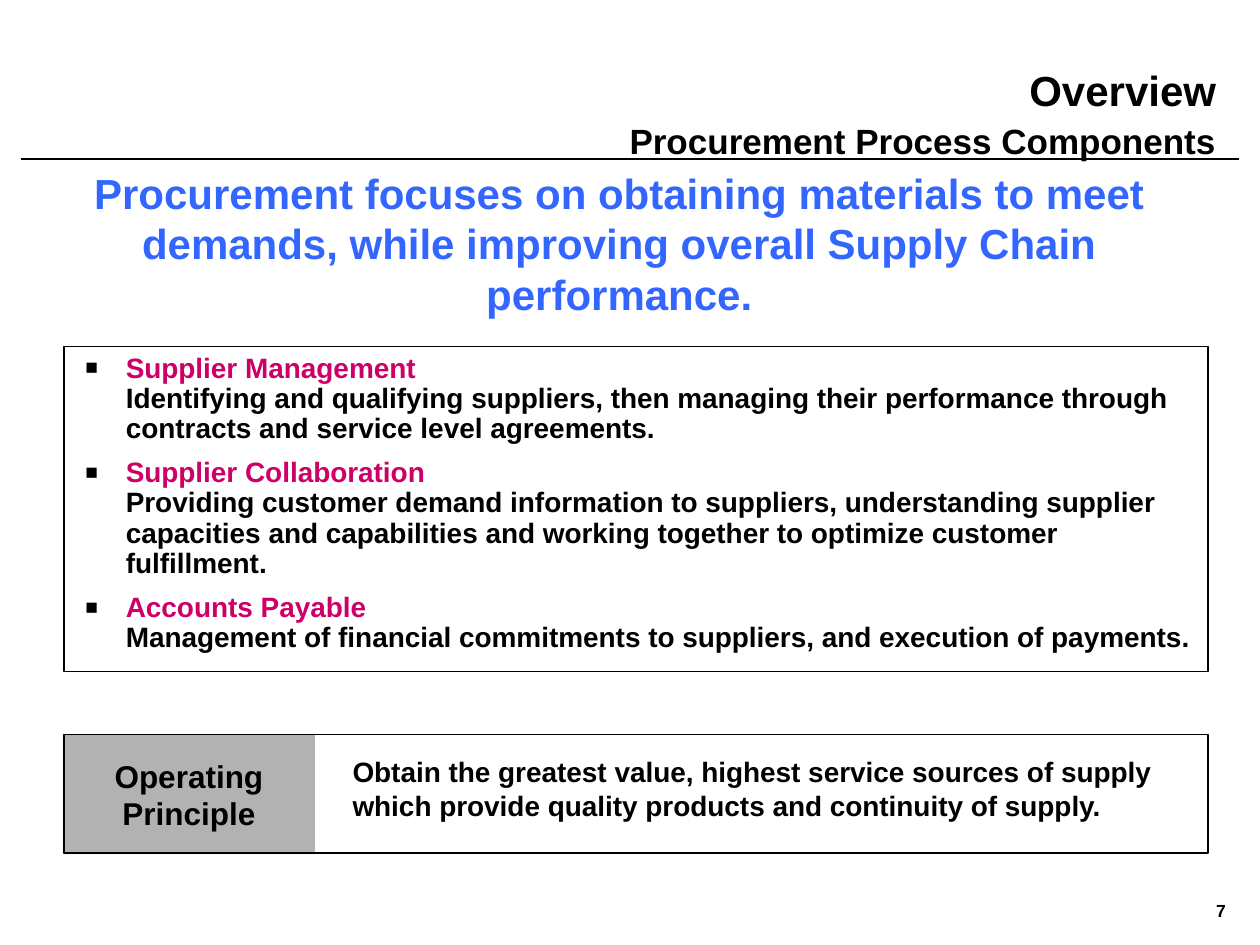
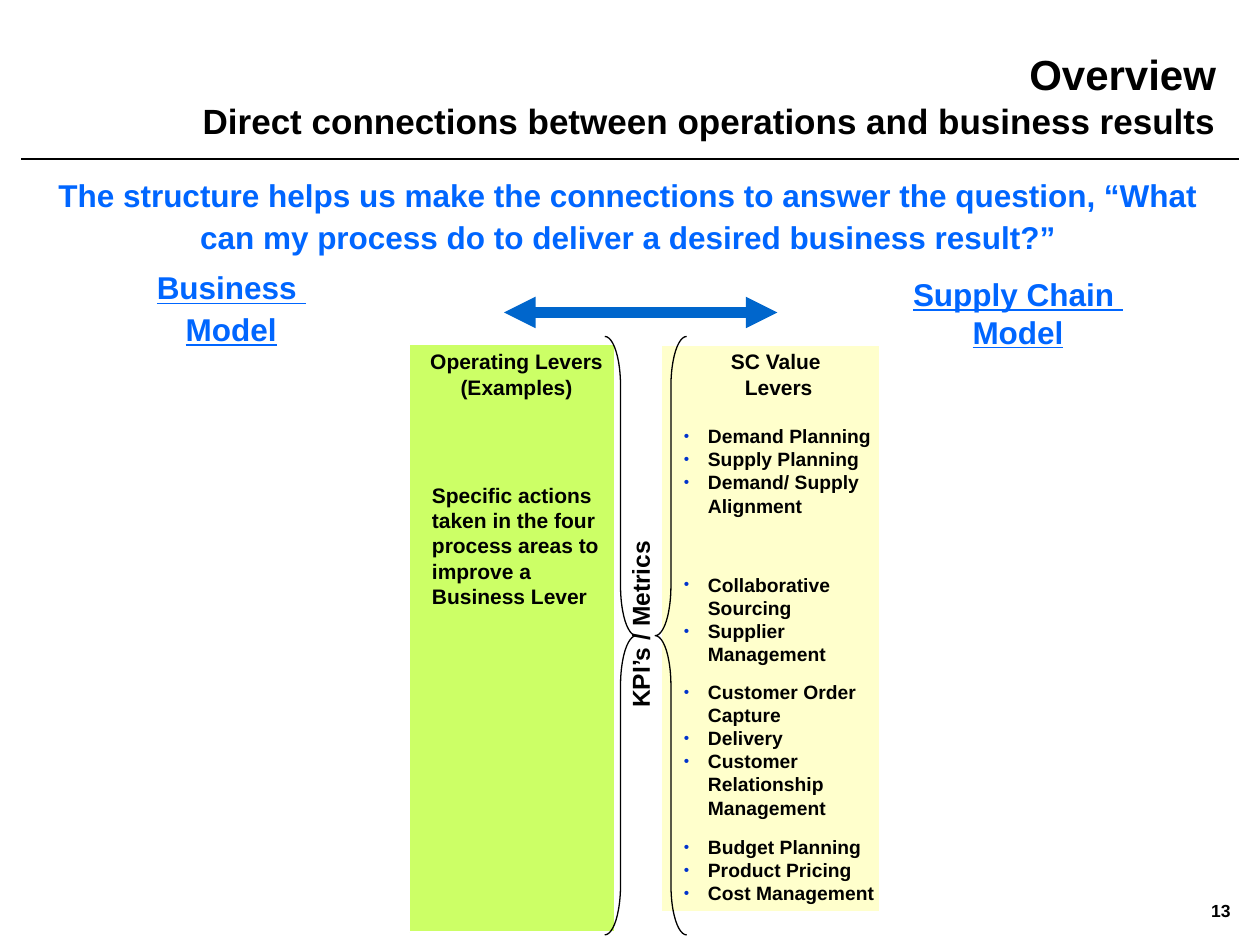
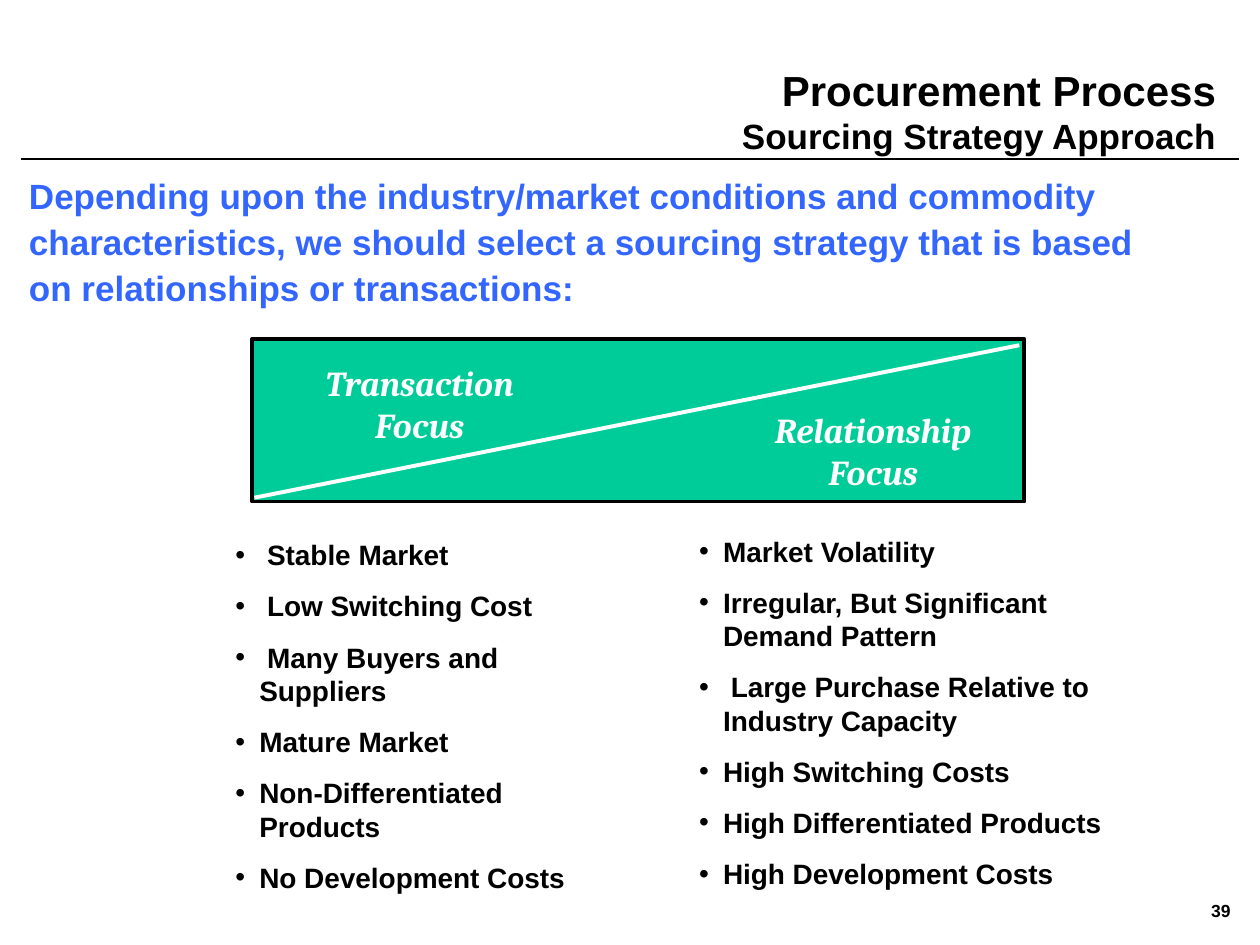
from copy import deepcopy

from lxml.etree import SubElement
from pptx import Presentation
from pptx.dml.color import RGBColor
from pptx.enum.shapes import MSO_CONNECTOR, MSO_SHAPE
from pptx.enum.text import MSO_ANCHOR, MSO_AUTO_SIZE, PP_ALIGN
from pptx.oxml.ns import qn
from pptx.util import Inches, Pt

# Colours
BLACK = RGBColor(0x00, 0x00, 0x00)
WHITE = RGBColor(0xFF, 0xFF, 0xFF)
GREY = RGBColor(0xB2, 0xB2, 0xB2)
PINK = RGBColor(0xCC, 0x00, 0x66)
BLUE = RGBColor(0x33, 0x66, 0xFF)
AZURE = RGBColor(0x00, 0x66, 0xFF)
STEEL = RGBColor(0x00, 0x66, 0xCC)
NAVY = RGBColor(0x00, 0x33, 0xCC)
LIME = RGBColor(0xCC, 0xFF, 0x66)
CREAM = RGBColor(0xFF, 0xFF, 0xCC)
GREEN = RGBColor(0x00, 0xCC, 0x99)

LEFT, MID, RIGHT = PP_ALIGN.LEFT, PP_ALIGN.CENTER, PP_ALIGN.RIGHT

# Bullet styles: sign, colour, size in percent, indent
SQUARE = ("■", BLACK, 75, 0.32)
SMALL = ("•", NAVY, 80, 0.19)
ROUND = ("•", BLACK, 100, 0.19)


class Deck:
    """Holds the shared style and the current slide."""

    base = {"name": "Arial", "bold": True, "italic": False, "underline": False}

    def __init__(self):
        self.prs = Presentation()
        self.prs.slide_width = Inches(10)
        self.prs.slide_height = Inches(7.5)

    def page(self, number):
        """Start a slide with its rule and page number."""
        layout = self.prs.slide_layouts.get_by_name("Title Only")
        self.slide = self.prs.slides.add_slide(layout)
        self.line((0.17, 1.26), (9.83, 1.26), BLACK, 1)
        self.text((9.42, 7.01, 0.54, 0.44), [number], 10, align=MID,
                  anchor=MSO_ANCHOR.MIDDLE)

    def title(self, box, words, size, color, **style):
        """Place the key message in the title placeholder."""
        shape = self.slide.shapes.title
        shape.left, shape.top, shape.width, shape.height = map(Inches, box)
        self.fill_in(shape, [words], size, color, anchor=MSO_ANCHOR.BOTTOM, **style)

    def head(self, box, main, sub, space=1.0):
        """Set the two-line heading above the rule."""
        self.text(box, [main, sub], 24, align=RIGHT, space=space,
                  anchor=MSO_ANCHOR.MIDDLE, sizes=(24, 20))

    def text(self, box, paras, size, color=BLACK, **style):
        shape = self.slide.shapes.add_textbox(*map(Inches, box))
        self.fill_in(shape, paras, size, color, **style)
        return shape

    def fill_in(self, shape, paras, size, color=BLACK, align=LEFT, space=1.0,
                before=0, anchor=MSO_ANCHOR.TOP, bullet=None, sizes=(), **font):
        """Fill a shape; a paragraph is a string or a list of coloured runs."""
        frame = shape.text_frame
        values = {"word_wrap": True, "auto_size": MSO_AUTO_SIZE.NONE,
                  "vertical_anchor": anchor,
                  "margin_left": Inches(0.1), "margin_right": Inches(0.1),
                  "margin_top": Inches(0.05), "margin_bottom": Inches(0.05)}
        for key, value in values.items():
            setattr(frame, key, value)
        for i, runs in enumerate(paras):
            para = frame.add_paragraph() if i else frame.paragraphs[0]
            if bullet:
                self.bullet(para, *bullet)
            values = {"alignment": align, "line_spacing": space,
                      "space_before": Pt(before if i else 0)}
            for key, value in values.items():
                setattr(para, key, value)
            points = sizes[i] if sizes else size
            look = {**self.base, "size": Pt(points), **font}
            for words, tint in [(runs, color)] if isinstance(runs, str) else runs:
                self.add_words(para, words, tint, look)

    def add_words(self, para, words, color, look):
        """Add text, with a line break at each newline."""
        for i, part in enumerate(words.split("\n")):
            if i:
                para.add_line_break()
                mark = para._p.findall(qn("a:br"))[-1]
                mark.insert(0, deepcopy(para.runs[-1]._r.rPr))
            if part:
                run = para.add_run()
                run.text = part
                for key, value in look.items():
                    setattr(run.font, key, value)
                run.font.color.rgb = color

    def bullet(self, para, sign, color, percent, indent):
        props = para._p.get_or_add_pPr()
        props.set("marL", str(Inches(indent)))
        props.set("indent", str(-Inches(indent)))
        tint = SubElement(props, qn("a:buClr"))
        SubElement(tint, qn("a:srgbClr"), val=str(color))
        SubElement(props, qn("a:buSzPct"), val=str(percent * 1000))
        SubElement(props, qn("a:buFont"), typeface="Arial")
        SubElement(props, qn("a:buChar"), char=sign)

    def shape(self, box, fill=None, line=None, width=1, kind=MSO_SHAPE.RECTANGLE):
        shape = self.slide.shapes.add_shape(kind, *map(Inches, box))
        shape.shadow.inherit = False
        for part, color in ((shape.fill, fill), (shape.line.fill, line)):
            if color is None:
                part.background()
            else:
                part.solid()
                part.fore_color.rgb = color
        if line is not None:
            shape.line.width = Pt(width)
        return shape

    def brace(self, left, kind):
        shape = self.shape((left, 2.67, 0.25, 4.75), line=BLACK, width=0.75, kind=kind)
        shape.adjustments[0] = 1.58

    def line(self, start, end, color, width, heads=False):
        line = self.slide.shapes.add_connector(
            MSO_CONNECTOR.STRAIGHT, *map(Inches, start + end))
        line.line.color.rgb = color
        line.line.width = Pt(width)
        props = line._element.spPr
        if heads:
            for tag in ("a:headEnd", "a:tailEnd"):
                SubElement(props.find(qn("a:ln")), qn(tag), type="triangle")
        SubElement(props, qn("a:effectLst"))


def parts(deck):
    """Procurement components and operating principle."""
    deck.page("7")
    deck.head((2.5, 0.25, 7.25, 1.25), "Overview",
              "Procurement Process Components", space=1.1)
    deck.title((0.33, 1.58, 9.17, 1),
               "Procurement focuses on obtaining materials to meet demands, "
               "while improving overall Supply Chain performance.",
               24, BLUE, align=MID)

    # Component list
    items = [
        ("Supplier Management",
         "Identifying and qualifying suppliers, then managing their performance "
         "through contracts and service level agreements."),
        ("Supplier Collaboration",
         "Providing customer demand information to suppliers, understanding "
         "supplier capacities and capabilities and working together to optimize "
         "customer fulfillment."),
        ("Accounts Payable",
         "Management of financial commitments to suppliers, and execution of "
         "payments."),
    ]
    deck.text((0.58, 2.76, 9.08, 2.48),
              [[(name, PINK), ("\n" + note, BLACK)] for name, note in items],
              16, space=0.9, before=8, bullet=SQUARE)
    deck.shape((0.51, 2.75, 9.08, 2.58), line=BLACK)

    # Operating principle
    label = deck.shape((0.5, 5.83, 2, 0.95), fill=GREY)
    deck.fill_in(label, ["Operating", "Principle"], 18, align=MID,
                 anchor=MSO_ANCHOR.MIDDLE)
    deck.text((2.7, 5.94, 6.63, 0.64),
              ["Obtain the greatest value, highest service sources of supply "
               "which provide quality products and continuity of supply."], 16)
    deck.shape((0.51, 5.83, 9.08, 0.94), line=BLACK)


def levers(deck):
    """Links between the business and supply chain models."""
    deck.page("13")
    deck.head((0.75, 0.42, 9, 0.67), "Overview",
              "Direct connections between operations and business results")
    deck.title((0.3, 1.73, 9.37, 0.35),
               "The structure helps us make the connections to answer the "
               "question, “What can my process do to deliver a desired business "
               "result?”", 18, AZURE, align=MID, space=1.1)

    # Model names and arrow
    for box, paras, space in (
            ((0.17, 2.46, 3.33, 0.35), ["Business \nModel"], 1.1),
            ((6.33, 2.48, 3.5, 0.35), ["Supply Chain ", "Model"], 1.0)):
        deck.text(box, paras, 18, AZURE, align=MID, space=space,
                  anchor=MSO_ANCHOR.BOTTOM, underline=True)
    deck.line((4, 2.48), (6.17, 2.48), STEEL, 6, heads=True)

    # Operating levers
    deck.shape((3.25, 2.73, 1.63, 4.67), LIME, WHITE)
    deck.text((3.31, 2.72, 1.58, 0.5), ["Operating Levers\n(Examples)"], 12,
              align=MID)
    deck.text((3.33, 3.78, 1.58, 1.1),
              ["Specific actions taken in the four process areas to improve a "
               "Business Lever"], 12)

    # Value levers
    deck.shape((5.25, 2.74, 1.73, 4.5), CREAM, WHITE)
    deck.text((5.42, 2.72, 1.52, 0.5), ["SC Value ", "Levers"], 12, align=MID)
    groups = [
        (3.32, 0.84, ["Demand Planning", "Supply Planning",
                      "Demand/ Supply Alignment"]),
        (4.5, 1.02, ["Collaborative Sourcing", "Supplier Management"]),
        (5.35, 1.2, ["Customer Order Capture", "Delivery",
                     "Customer Relationship\nManagement"]),
        (6.58, 0.65, ["Budget Planning", "Product Pricing", "Cost Management"]),
    ]
    for top, height, names in groups:
        deck.text((5.33, top, 1.75, height), names, 11, bullet=SMALL)

    # Metrics between braces
    deck.brace(4.8, MSO_SHAPE.RIGHT_BRACE)
    deck.brace(5.2, MSO_SHAPE.LEFT_BRACE)
    label = deck.text((2.54, 4.79, 5.08, 0.33), ["KPI’s / Metrics"], 14, align=MID)
    label.rotation = 270


def focus(deck):
    """Transaction focus against relationship focus."""
    deck.page("39")
    deck.head((2.5, 0.25, 7.25, 1.25), "Procurement Process",
              "Sourcing Strategy Approach")
    deck.title((0.13, 1.39, 9.2, 1.11),
               "Depending upon the industry/market conditions and commodity "
               "characteristics, we should select a sourcing strategy that is "
               "based on relationships or transactions:", 20, BLUE, space=1.1)

    # Split band
    deck.shape((2, 2.69, 6.13, 1.29), GREEN, BLACK, 2.25)
    deck.line((2.02, 3.95), (8.09, 2.74), WHITE, 2.25)
    for left, top, name in ((2.09, 2.82, "Transaction"),
                            (5.69, 3.19, "Relationship")):
        deck.text((left, top, 2.48, 0.77), [name + "\nFocus"], 20, WHITE,
                  align=MID, name="Cambria", italic=True)

    # Market traits
    stable = [" Stable Market", " Low Switching Cost",
              " Many Buyers and\nSuppliers", "Mature Market",
              "Non-Differentiated Products", "No Development Costs"]
    shifting = ["Market Volatility", "Irregular, But Significant Demand Pattern",
                " Large Purchase Relative to Industry Capacity",
                "High Switching Costs", "High Differentiated Products",
                "High Development Costs"]
    for left, top, width, traits in ((1.77, 4.22, 2.96, stable),
                                     (5.45, 4.19, 3.68, shifting)):
        deck.text((left, top, width, 2.93), traits, 16, before=10, bullet=ROUND)


def main():
    deck = Deck()
    for build in (parts, levers, focus):
        build(deck)
    deck.prs.save("out.pptx")


if __name__ == "__main__":
    main()
